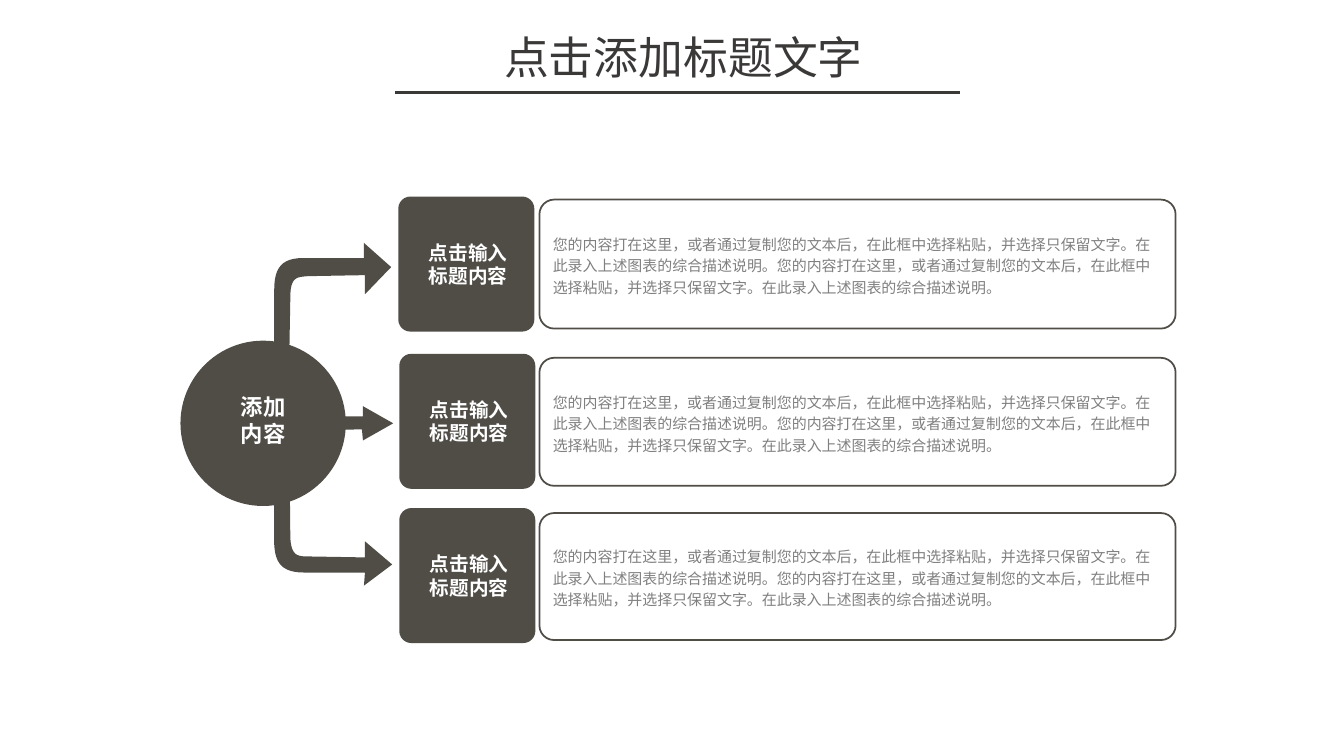
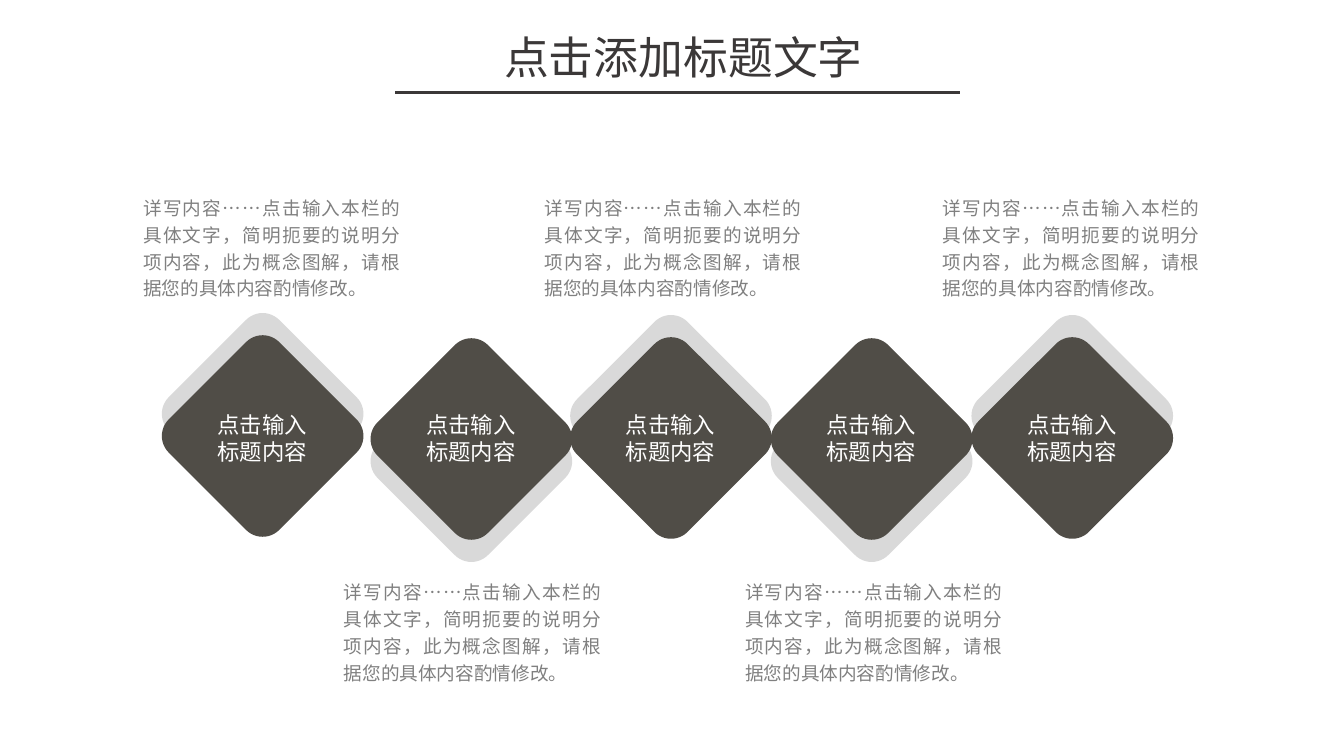
"""Build two diagram slides: a three-way branch and a row of diamonds."""
from dataclasses import dataclass

from lxml import etree
from pptx import Presentation
from pptx.dml.color import RGBColor
from pptx.enum import shapes, text
from pptx.oxml import ns
from pptx.util import Inches, Pt

FONT = "Noto Sans CJK SC"
DARK, GREY, PALE, WHITE, INK = "504D47", "808080", "D9D9D9", "FFFFFF", "3B3838"
KIND = shapes.MSO_SHAPE
MID, LEFT, JUST = text.PP_ALIGN.CENTER, text.PP_ALIGN.LEFT, text.PP_ALIGN.JUSTIFY

HEAD = "点击添加标题文字"
LABEL = "点击输入标题内容"
BODY = ("您的内容打在这里，或者通过复制您的文本后，在此框中选择粘贴，"
        "并选择只保留文字。在此录入上述图表的综合描述说明。") * 2
NOTE = ("详写内容……点击输入本栏的具体文字，简明扼要的说明分项内容，"
        "此为概念图解，请根据您的具体内容酌情修改。")


@dataclass
class Style:
    """Look of a block of text."""
    size: float
    color: str
    bold: bool = False
    align: text.PP_ALIGN = MID
    space: float = 1.0
    inset: tuple = (0.1, 0.05, 0.1, 0.05)
    anchor: text.MSO_ANCHOR = text.MSO_ANCHOR.MIDDLE


@dataclass
class Row:
    """A tile and the panel beside it."""
    left: float
    top: float
    panel: float
    high: float


@dataclass
class Gem:
    """A diamond with its shade and note."""
    left: float
    top: float
    note: float
    up: bool


TITLE = Style(32, INK, anchor=text.MSO_ANCHOR.TOP)
HUB = Style(16, WHITE, True, inset=(0, 0, 0, 0.06))
TILE = Style(14, WHITE, True, inset=(0.21, 0.05, 0.17, 0.05))
PANEL = Style(10.7, GREY, align=LEFT, space=1.2, inset=(0.09, 0.04, 0.09, 0.04))
NAME = Style(16, WHITE, inset=(0.13, 0.07, 0.13, 0.07))
MEMO = Style(13.3, GREY, align=JUST, space=1.2, inset=(0, 0, 0, 0),
             anchor=text.MSO_ANCHOR.TOP)

ROWS = [Row(3.95, 1.95, 1.98, 1.28), Row(3.96, 3.51, 3.55, 1.27),
        Row(3.96, 5.04, 5.09, 1.26)]
GEMS = [Gem(1.83, 3.55, 1.42, True), Gem(3.9, 3.58, 3.41, False),
        Gem(5.88, 3.57, 5.4, True), Gem(7.87, 3.58, 7.39, False),
        Gem(9.86, 3.57, 9.35, True)]

# Two numbers draw a straight edge, six a cubic curve.
ARROWS = [
    [(2.87, 4.37), (2.88, 5.34), (2.89, 5.51, 2.95, 5.52, 3.05, 5.52),
     (3.62, 5.53), (3.62, 5.37), (3.89, 5.6), (3.61, 5.81), (3.62, 5.68),
     (3.02, 5.68), (2.8, 5.68, 2.73, 5.59, 2.72, 5.4), (2.72, 4.35),
     (2.75, 4.18, 2.84, 4.2, 2.87, 4.37)],
    [(2.51, 4.28), (3.59, 4.26), (3.6, 4.37), (3.9, 4.2), (3.6, 4.03),
     (3.6, 4.13), (2.51, 4.13)],
    [(2.86, 4.07), (2.88, 2.95), (2.88, 2.75, 2.94, 2.75, 3.05, 2.74),
     (3.62, 2.73), (3.62, 2.92), (3.88, 2.65), (3.61, 2.41), (3.61, 2.56),
     (3.01, 2.56), (2.79, 2.56, 2.72, 2.66, 2.72, 2.88), (2.72, 4.09),
     (2.74, 4.29, 2.83, 4.27, 2.86, 4.07)],
]


def tint(code: str) -> RGBColor:
    """Turn a hex string into a colour."""
    return RGBColor.from_string(code)


def write(shape, words: str, style: Style) -> None:
    """Fill a shape with styled text, one paragraph a line."""
    frame = shape.text_frame
    frame.text = words
    frame.word_wrap = True
    frame.auto_size = text.MSO_AUTO_SIZE.NONE
    frame.vertical_anchor = style.anchor
    (frame.margin_left, frame.margin_top,
     frame.margin_right, frame.margin_bottom) = map(Inches, style.inset)
    for para in frame.paragraphs:
        para.alignment = style.align
        para.line_spacing = style.space
        font = para.font
        font.size, font.bold, font.name = Pt(style.size), style.bold, FONT
        font.color.rgb = tint(style.color)
        props = para._p.pPr.find(ns.qn("a:defRPr"))
        etree.SubElement(props, ns.qn("a:ea"), typeface=FONT)


def paint(shape, fill: str) -> None:
    """Give a shape a plain fill with no line or shadow."""
    shape.shadow.inherit = False
    shape.fill.solid()
    shape.fill.fore_color.rgb = tint(fill)
    shape.line.fill.background()


def block(slide, kind: KIND, box: tuple, fill: str, adj: float | None = None):
    """Add a filled preset shape."""
    shape = slide.shapes.add_shape(kind, *map(Inches, box))
    paint(shape, fill)
    if adj is not None:
        shape.adjustments[0] = adj
    return shape


def label(slide, box: tuple, words: str, style: Style) -> None:
    """Add a text box."""
    write(slide.shapes.add_textbox(*map(Inches, box)), words, style)


def trace(steps: list) -> list[tuple]:
    """Turn edges and curves into points."""
    dots = [steps[0]]
    for step in steps[1:]:
        if len(step) == 2:
            dots.append(step)
            continue
        start = dots[-1]
        for part in range(1, 13):
            t = part / 12
            s = 1 - t
            dots.append(tuple(
                s**3 * start[i] + 3 * s * s * t * step[i]
                + 3 * s * t * t * step[i + 2] + t**3 * step[i + 4]
                for i in (0, 1)))
    return dots


def arrow(slide, steps: list) -> None:
    """Draw an arrow outline."""
    dots = [(Inches(x), Inches(y)) for x, y in trace(steps)]
    pen = slide.shapes.build_freeform(*dots[0])
    pen.add_line_segments(dots[1:], close=True)
    paint(pen.convert_to_shape(), DARK)


def start(deck):
    """Add a slide with its title and rule."""
    slide = deck.slides.add_slide(deck.slide_layouts[5])
    title = slide.shapes.title
    title.left, title.top, title.width, title.height = map(
        Inches, (3.75, 0.24, 6.06, 0.64))
    write(title, HEAD, TITLE)
    rule = slide.shapes.add_connector(
        shapes.MSO_CONNECTOR.STRAIGHT, *map(Inches, (3.92, 0.92, 9.52, 0.92)))
    rule.line.color.rgb, rule.line.width = tint(INK), Pt(2)
    etree.SubElement(rule._element.spPr, ns.qn("a:effectLst"))
    return slide


def branch(deck) -> None:
    """Build the hub with three rows."""
    slide = start(deck)
    for steps in ARROWS:
        arrow(slide, steps)
    hub = block(slide, KIND.OVAL, (1.79, 3.38, 1.64, 1.64), DARK)
    write(hub, "添加\n内容", HUB)
    for row in ROWS:
        panel = block(slide, KIND.ROUNDED_RECTANGLE,
                      (5.35, row.panel, 6.31, row.high), WHITE, 0.115)
        panel.fill.background()
        panel.line.color.rgb, panel.line.width = tint(DARK), Pt(1.25)
        write(panel, BODY, PANEL)
        tile = block(slide, KIND.ROUNDED_RECTANGLE,
                     (row.left, row.top, 1.35, 1.34), DARK, 0.09)
        write(tile, LABEL, TILE)


def chain(deck) -> None:
    """Build the row of diamonds."""
    slide = start(deck)
    for gem in GEMS:
        shift = -0.22 if gem.up else 0.22
        for top, fill in ((gem.top + shift, PALE), (gem.top, DARK)):
            shape = block(slide, KIND.ROUNDED_RECTANGLE,
                          (gem.left, top, 1.55, 1.55), fill, 0.15)
            shape.rotation = 315 if gem.up else 135
    for gem in GEMS:
        label(slide, (gem.left + 0.11, 4.2, 1.32, 0.29), LABEL, NAME)
        label(slide, (gem.note, 1.91 if gem.up else 5.72, 2.55, 1.08), NOTE, MEMO)


def main() -> None:
    """Make and save the deck."""
    deck = Presentation()
    deck.slide_width, deck.slide_height = Inches(13.33), Inches(7.5)
    branch(deck)
    chain(deck)
    deck.save("out.pptx")


if __name__ == "__main__":
    main()
